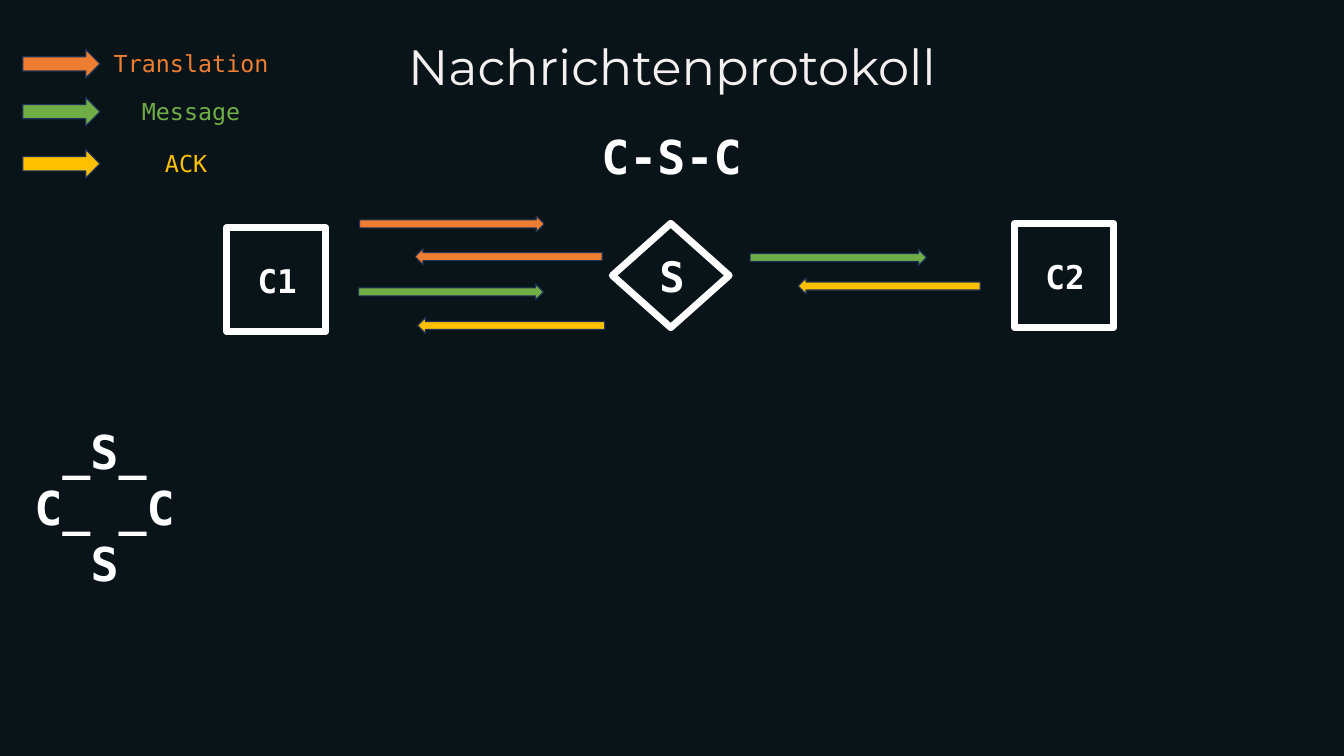
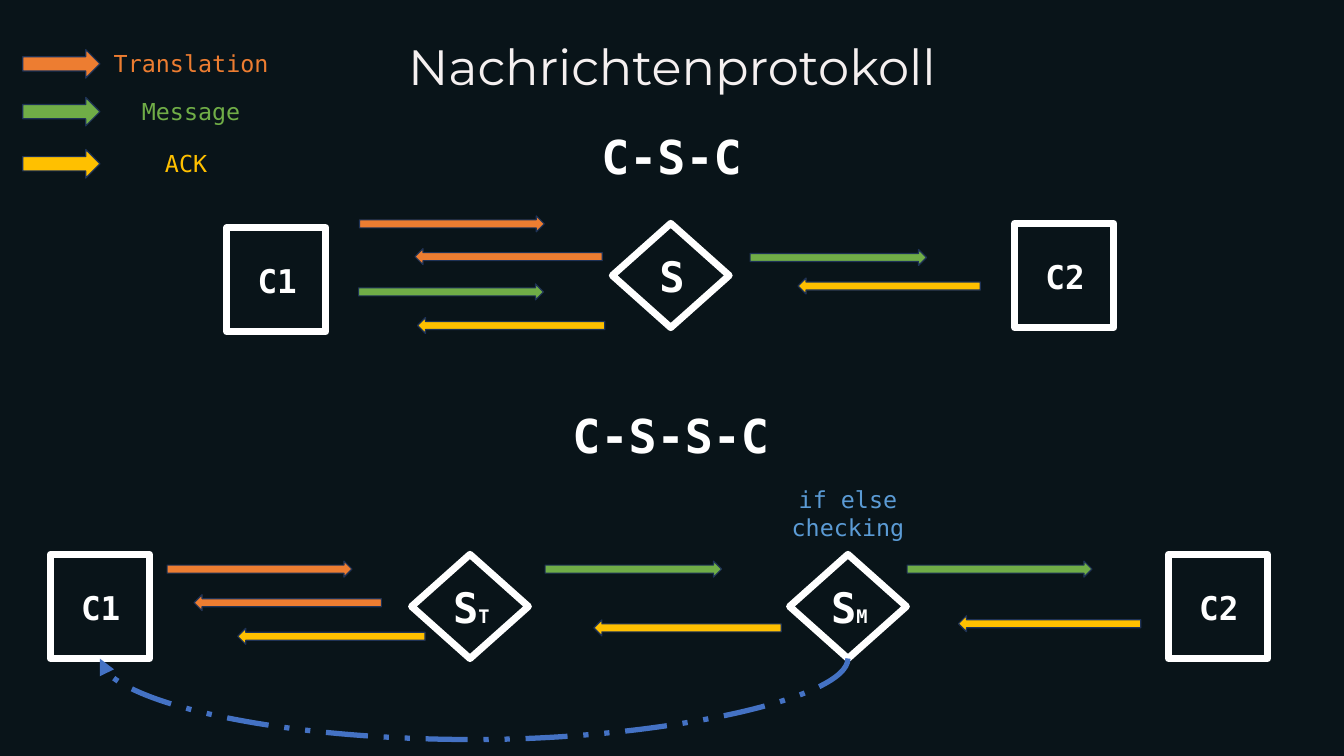
from lxml import etree
from pptx import Presentation, util as u
from pptx.dml.color import RGBColor
from pptx.enum import dml, shapes as kinds, text
from pptx.oxml.ns import qn

BACK = RGBColor(0x09, 0x14, 0x19)
PALE = RGBColor(0xF5, 0xF0, 0xF0)
WHITE = RGBColor(0xFF, 0xFF, 0xFF)
ORANGE = RGBColor(0xED, 0x7D, 0x31)
GREEN = RGBColor(0x70, 0xAD, 0x47)
GOLD = RGBColor(0xFF, 0xC0, 0x00)
EDGE = RGBColor(0x1E, 0x32, 0x56)
BLUE = RGBColor(0x44, 0x72, 0xC4)
SKY = RGBColor(0x5B, 0x9B, 0xD5)

MONO = "DejaVu Sans Mono"
COLS, ROWS = 16, 9
WIDE, HIGH = u.Inches(16), u.Inches(9)
SQUARE = kinds.MSO_SHAPE.RECTANGLE
DIAMOND = kinds.MSO_SHAPE.FLOWCHART_DECISION

# Node styles: width, text offset, text width, text height, text size
NODES = {SQUARE: (1.18, 0.25, 0.35, 0.7, 0.57, 28),
         DIAMOND: (1.39, 0.37, 0.27, 0.68, 0.71, 36)}

LEGEND = [("Translation", ORANGE, 0.59, 1.25),
          ("Message", GREEN, 1.16, 1.25),
          ("ACK", GOLD, 1.78, 1.19)]

# Nodes: outline, left, top, label, small suffix
# Arrows: left, top, width, colour, points back
SHORT = ([(DIAMOND, 7.29, 2.66, "S", ""),
          (SQUARE, 2.7, 2.71, "C1", ""),
          (SQUARE, 12.08, 2.66, "C2", "")],
         [(4.28, 2.57, 2.2, ORANGE, False),
          (4.94, 2.96, 2.23, ORANGE, True),
          (4.27, 3.38, 2.2, GREEN, False),
          (8.93, 2.97, 2.1, GREEN, False),
          (9.5, 3.31, 2.17, GOLD, True),
          (4.97, 3.78, 2.23, GOLD, True)])
LONG = ([(SQUARE, 0.6, 6.6, "C1", ""),
         (DIAMOND, 4.9, 6.6, "S", "T"),
         (DIAMOND, 9.4, 6.6, "S", "M"),
         (SQUARE, 13.91, 6.6, "C2", "")],
        [(1.99, 6.68, 2.2, ORANGE, False),
         (2.31, 7.08, 2.23, ORANGE, True),
         (6.49, 6.68, 2.1, GREEN, False),
         (10.8, 6.68, 2.2, GREEN, False),
         (11.41, 7.33, 2.17, GOLD, True),
         (7.07, 7.38, 2.23, GOLD, True),
         (2.83, 7.48, 2.23, GOLD, True)])


def grid(x, y, w, h):
    """Turn columns and rows into slide lengths."""
    col, row = WIDE / COLS, HIGH / ROWS
    return int(x * col), int(y * row), int(w * col), int(h * row)


def label(tree, cell, lines, size, color=WHITE, bold=False, font=MONO):
    box = tree.add_textbox(*grid(*cell))
    frame = box.text_frame
    frame.word_wrap = True
    frame.auto_size = text.MSO_AUTO_SIZE.SHAPE_TO_FIT_TEXT
    frame.text = lines
    for para in frame.paragraphs:
        para.alignment = text.PP_ALIGN.CENTER
        para.font.name = font
        para.font.size = u.Pt(size)
        para.font.bold = bold
        para.font.color.rgb = color
    return frame


def title(tree, words):
    frame = label(tree, (4.97, 0.4, 6.06, 0.74), words, 42.5, PALE, font="Montserrat")
    frame.word_wrap = False
    frame.auto_size = text.MSO_AUTO_SIZE.NONE
    frame.margin_left = frame.margin_right = 0
    frame.margin_top = frame.margin_bottom = 0
    frame.paragraphs[0].line_spacing = u.Pt(53)


def head(tree, x, y, words):
    label(tree, (x, y, 2.63, 0.77), words, 40, bold=True)


def arrow(tree, x, y, w, color, back=False, h=0.19):
    bar = tree.add_shape(kinds.MSO_SHAPE.RIGHT_ARROW, *grid(x, y, w, h))
    bar.shadow.inherit = False
    bar.fill.solid()
    bar.fill.fore_color.rgb = color
    bar.line.color.rgb = EDGE
    bar.line.width = u.Pt(1)
    bar.rotation = 180 if back else 0


def node(tree, kind, x, y, name, sub):
    """Draw an outlined node with its name and an optional small suffix."""
    w, dx, dy, tw, th, size = NODES[kind]
    frame = label(tree, (x + dx, y + dy, tw, th), name, size, bold=True)
    if sub:
        run = frame.paragraphs[0].add_run()
        run.text = sub
        run.font.size = u.Pt(16)
    shape = tree.add_shape(kind, *grid(x, y, w, 1.24))
    shape.shadow.inherit = False
    shape.fill.background()
    shape.line.color.rgb = WHITE
    shape.line.width = u.Pt(6)
    return shape


def flow(tree, nodes, arrows):
    made = [node(tree, *item) for item in nodes]
    for item in arrows:
        arrow(tree, *item)
    return made


def legend(tree):
    for name, color, y, x in LEGEND:
        group = tree.add_group_shape().shapes
        arrow(group, 0.27, y, 0.92, color, h=0.34)
        label(group, (x, y - 0.05, 2.05, 0.44), name, 20, color)


def loop(tree, start, end):
    """Curve below the row from one node's foot to another's."""
    line = tree.add_connector(kinds.MSO_CONNECTOR.CURVE, 0, 0, 0, 0)
    line.begin_connect(start, 2)
    line.end_connect(end, 2)
    left, right = line.end_x, line.begin_x
    span, foot = right - left, line.begin_y
    # A quarter turn makes the bend point down; the depth is a share of the width.
    thin, depth = 1660, u.Inches(0.89)
    line.left, line.top = (left + right - thin) // 2, foot - span // 2
    line.width, line.height = thin, span
    line.rotation = 90
    props = line._element.spPr
    for flip in ("flipH", "flipV"):
        props.find(qn("a:xfrm")).attrib.pop(flip, None)
    geom = props.find(qn("a:prstGeom"))
    bend = geom.find(qn("a:avLst"))
    if bend is None:
        bend = etree.SubElement(geom, qn("a:avLst"))
    etree.SubElement(bend, qn("a:gd"), name="adj1",
                     fmla=f"val {round(depth / thin * 100000)}")
    line.line.color.rgb = BLUE
    line.line.width = u.Pt(4.5)
    line.line.dash_style = dml.MSO_LINE.DASH_DOT_DOT
    etree.SubElement(props.find(qn("a:ln")), qn("a:tailEnd"), type="triangle")
    etree.SubElement(props, qn("a:effectLst"))


def base(deck):
    """Add a slide with the title, the legend and the short route."""
    tree = deck.slides.add_slide(deck.slide_layouts[6]).shapes
    title(tree, "Nachrichtenprotokoll")
    head(tree, 6.68, 1.47, "C-S-C")
    flow(tree, *SHORT)
    legend(tree)
    return tree


def main():
    deck = Presentation()
    deck.slide_width, deck.slide_height = WIDE, HIGH
    fill = deck.slide_master.background.fill
    fill.solid()
    fill.fore_color.rgb = BACK

    tree = base(deck)
    label(tree, (-0.07, 4.99, 2.63, 2.12), "_S_\nC_ _C\nS", 40, bold=True)

    tree = base(deck)
    head(tree, 6.67, 4.79, "C-S-S-C")
    first, _, check, _ = flow(tree, *LONG)
    loop(tree, check, first)
    label(tree, (9.07, 5.73, 2.05, 0.77), "if else checking", 20, SKY)
    deck.save("out.pptx")


if __name__ == "__main__":
    main()
